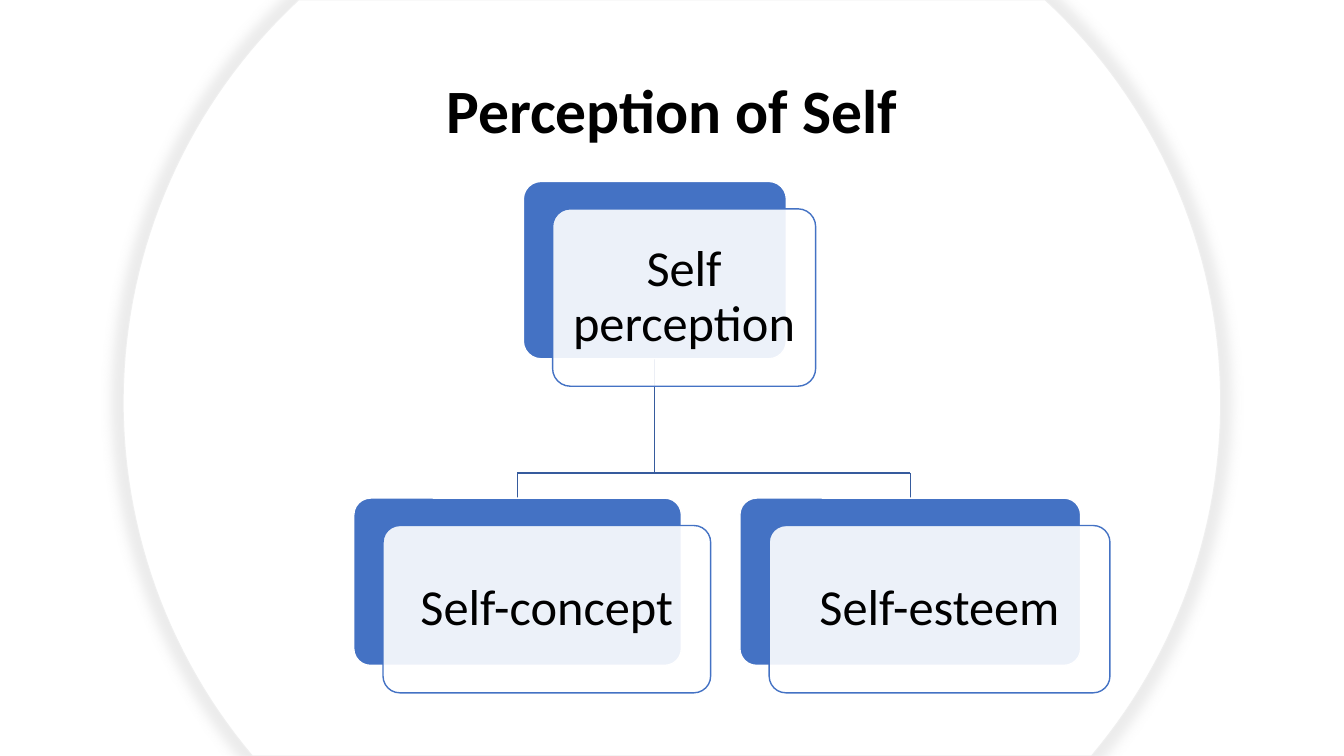
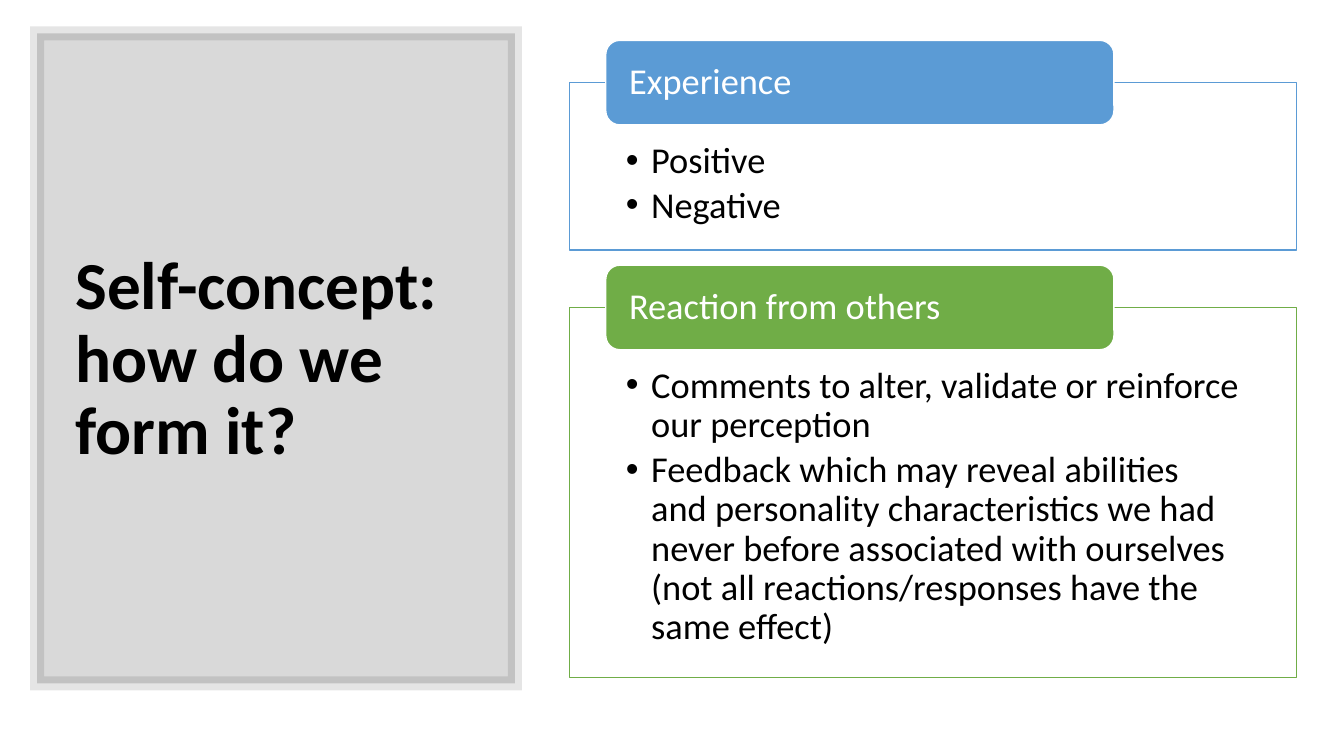
import math

from lxml import etree
from pptx import Presentation
from pptx.dml.color import RGBColor
from pptx.enum import shapes, text
from pptx.oxml import ns
from pptx.util import Pt

FONT = "Calibri"
BLACK = RGBColor(0, 0, 0)
WHITE = RGBColor(255, 255, 255)
BLUE = RGBColor(0x44, 0x72, 0xC4)
DARK_BLUE = RGBColor(0x36, 0x5B, 0x9D)
SKY = RGBColor(0x5B, 0x9B, 0xD5)
GREEN = RGBColor(0x70, 0xAD, 0x47)
PALE = RGBColor(0xEF, 0xEF, 0xEF)
RECT = shapes.MSO_SHAPE.RECTANGLE
ROUND = shapes.MSO_SHAPE.ROUNDED_RECTANGLE
WIDTH, HEIGHT = 960, 540


def sub(parent, tag, **attrs):
    el = etree.SubElement(parent, ns.qn(tag))
    for name, value in attrs.items():
        el.set(name, str(value))
    return el


def set_alpha(parent, alpha):
    if alpha < 100:
        color = parent.find(ns.qn("a:solidFill")).find(ns.qn("a:srgbClr"))
        sub(color, "a:alpha", val=alpha * 1000)


class Deck:
    """Holds the shared style and the current slide."""

    def __init__(self):
        self.prs = Presentation()
        self.prs.slide_width, self.prs.slide_height = Pt(WIDTH), Pt(HEIGHT)
        self.s = None

    def new_slide(self):
        self.s = self.prs.slides.add_slide(self.prs.slide_layouts[6])

    def paint(self, sp, fill, line, weight=1, fill_alpha=100, line_alpha=100):
        sp.shadow.inherit = False
        sp.fill.solid()
        sp.fill.fore_color.rgb = fill
        sp.line.color.rgb = line
        sp.line.width = Pt(weight)
        spPr = sp._element.spPr
        set_alpha(spPr, fill_alpha)
        set_alpha(spPr.find(ns.qn("a:ln")), line_alpha)

    def box(self, kind, at, fill, line, radius=None, **style):
        sp = self.s.shapes.add_shape(kind, *map(Pt, at))
        if radius is not None:
            sp.adjustments[0] = radius
        self.paint(sp, fill, line, **style)
        return sp

    def put_text(self, sp, lines, size, color=BLACK, bold=False, align=text.PP_ALIGN.LEFT,
                 anchor=text.MSO_ANCHOR.MIDDLE, insets=(7.2, 3.6, 7.2, 3.6), bullet=False):
        tf = sp.text_frame
        tf.word_wrap = True
        tf.vertical_anchor = anchor
        tf.margin_left, tf.margin_top, tf.margin_right, tf.margin_bottom = map(Pt, insets)
        for i, line in enumerate(lines):
            p = tf.add_paragraph() if i else tf.paragraphs[0]
            p.add_run().text = line
            p.alignment = align
            p.line_spacing = 0.9
            if bullet:
                p.space_after = Pt(4)
                pPr = p._p.get_or_add_pPr()
                pPr.set("marL", str(Pt(18)))
                pPr.set("indent", str(-Pt(18)))
                sub(pPr, "a:buFont", typeface="Arial")
                sub(pPr, "a:buChar", char="•")
            f = p.font
            f.name, f.size, f.bold, f.color.rgb = FONT, Pt(size), bold, color

    def title(self, at, line, size, align=text.PP_ALIGN.LEFT):
        sp = self.s.shapes.add_textbox(*map(Pt, at))
        self.put_text(sp, [line], size, bold=True, align=align)

    def line(self, x1, y1, x2, y2):
        c = self.s.shapes.add_connector(shapes.MSO_CONNECTOR.STRAIGHT, *map(Pt, (x1, y1, x2, y2)))
        c.line.color.rgb = DARK_BLUE
        c.line.width = Pt(1)
        sub(c._element.spPr, "a:effectLst")

    def clipped_circle(self, cx, cy, r):
        """Circle cut off by the top and bottom slide edges."""
        top, bottom = math.asin(-cy / r), math.asin((HEIGHT - cy) / r)
        steps = 60
        angles = [top + (bottom - top) * i / steps for i in range(steps + 1)]
        arc = [(r * math.cos(a), cy + r * math.sin(a)) for a in angles]
        points = [(cx + dx, y) for dx, y in arc] + [(cx - dx, y) for dx, y in reversed(arc)]
        points = [(Pt(x), Pt(y)) for x, y in points]
        fb = self.s.shapes.build_freeform(*points[0])
        fb.add_line_segments(points[1:], close=True)
        sp = fb.convert_to_shape()
        self.paint(sp, WHITE, PALE, 0.75)
        glow = sub(sp._element.spPr.find(ns.qn("a:effectLst")), "a:outerShdw", blurRad=Pt(8),
                   sx=102000, sy=102000, algn="ctr", rotWithShape=0)
        sub(sub(glow, "a:srgbClr", val="D9D9D9"), "a:alpha", val=50000)

    def card(self, x, y, w, h, label):
        """Blue block with an offset translucent card on top."""
        self.box(ROUND, (x, y, w, h), BLUE, WHITE, 0.1)
        sp = self.box(ROUND, (x + 20.9, y + 19.6, w, h), WHITE, BLUE, 0.1, fill_alpha=90)
        self.put_text(sp, [label], 36, align=text.PP_ALIGN.CENTER, insets=(10.8,) * 4)

    def section(self, y, h, color, heading, bullets):
        """Outlined list with a heading tab across its top edge."""
        sp = self.box(RECT, (406.8, y, 519.4, h), WHITE, color, fill_alpha=90)
        self.put_text(sp, bullets, 26, anchor=text.MSO_ANCHOR.TOP,
                      insets=(40.3, 42.5, 40.3, 14.4), bullet=True)
        tab = self.box(ROUND, (432.7, y - 30.2, 363, 60.4), color, WHITE)
        self.put_text(tab, [heading], 26, WHITE, insets=(13.7, 0, 13.7, 0))

    def panel(self, at):
        sp = self.box(RECT, at, BLACK, BLACK, weight=10, fill_alpha=15, line_alpha=10)
        sub(sp._element.spPr.find(ns.qn("a:ln")), "a:miter", lim=800000)


def main():
    deck = Deck()

    # Slide 1: hierarchy
    deck.new_slide()
    deck.clipped_circle(480, 287.3, 392)
    deck.title((66, 28.8, 828, 104.4), "Perception of Self", 44, text.PP_ALIGN.CENTER)
    trunk, left, right, bar, row = 467.7, 369.6, 650.2, 337.8, 355.8
    deck.line(trunk, 256.3, trunk, bar)
    deck.line(left, bar, right, bar)
    for x in (left, right):
        deck.line(x, bar, x, row)
    deck.card(373.8, 129.6, 187.9, 126.7, "Self perception")
    deck.card(252.7, row, 234, 119.5, "Self-concept")
    deck.card(528.5, row, 243.4, 119.5, "Self-esteem")

    # Slide 2: title panel and two lists
    deck.new_slide()
    deck.panel((26.6, 23.8, 341.3, 464.4))
    deck.title((46.8, 50.4, 299.5, 414), "Self-concept: how do we form it?", 48)
    deck.section(59, 119.5, SKY, "Experience", ["Positive", "Negative"])
    deck.section(219.6, 264.2, GREEN, "Reaction from others", [
        "Comments to alter, validate or reinforce our perception",
        "Feedback which may reveal abilities and personality characteristics we had never "
        "before associated with ourselves (not all reactions/responses have the same effect)",
    ])

    deck.prs.save("out.pptx")


if __name__ == "__main__":
    main()
